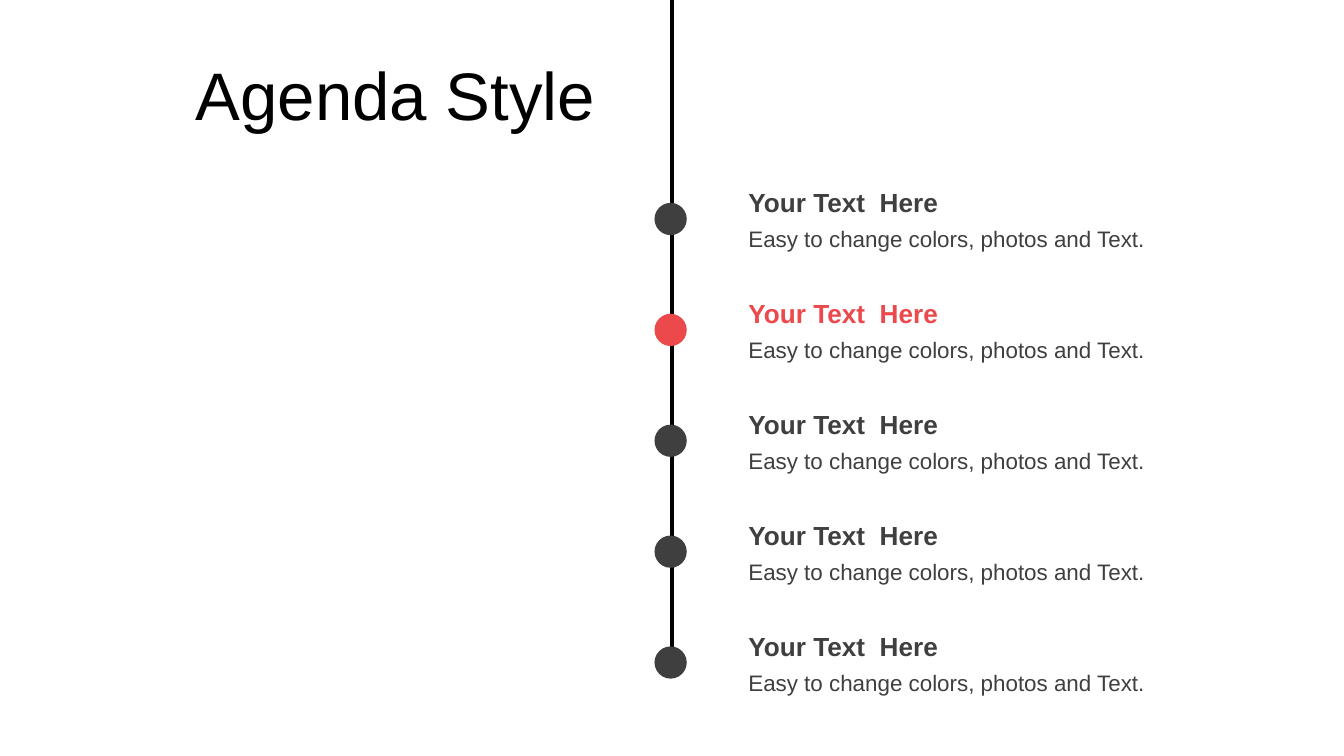
from lxml import etree
from pptx import Presentation
from pptx import util as u
from pptx.dml.color import RGBColor
from pptx.enum import shapes, text
from pptx.oxml.ns import qn

COLORS = {"line": "000000", "normal": "3F3F3F", "current": "EB494B"}
WIDTH = u.Inches(10)
HEIGHT = WIDTH * 9 // 16
FIRST_TOP, LAST_TOP = 1.34, 4.64
DOT_SIZE = u.Inches(0.24)
HEADING = "Your Text  Here"
DETAIL = "Easy to change colors, photos and Text."
topics = [(HEADING, DETAIL, "normal") for _ in range(5)]
topics[1] = (HEADING, DETAIL, "current")


def write(frame, words, size, color, bold=False):
    """Fill a text frame with one formatted Arial paragraph."""
    frame.word_wrap = True
    frame.auto_size = text.MSO_AUTO_SIZE.NONE
    frame.text = words
    font = frame.paragraphs[0].runs[0].font
    font.name, font.size, font.bold = "Arial", u.Pt(size), bold
    font.color.rgb = RGBColor.from_string(COLORS[color])


deck = Presentation()
deck.slide_width, deck.slide_height = WIDTH, HEIGHT
slide = deck.slides.add_slide(deck.slide_layouts[5])

title = slide.shapes.title
title.left, title.top = 0, u.Inches(0.38)
title.width, title.height = u.Inches(4.53), u.Inches(0.63)
write(title.text_frame, "Agenda Style", 36, "line")
title.text_frame.vertical_anchor = text.MSO_ANCHOR.MIDDLE
title.text_frame.paragraphs[0].alignment = text.PP_ALIGN.RIGHT

timeline = slide.shapes.add_connector(
    shapes.MSO_CONNECTOR.STRAIGHT, WIDTH // 2, 0, WIDTH // 2, u.Inches(5.01))
timeline.line.color.rgb = RGBColor.from_string(COLORS["line"])
timeline.line.width = u.Pt(2)
etree.SubElement(timeline._element.spPr, qn("a:effectLst"))

row_pitch = (LAST_TOP - FIRST_TOP) / (len(topics) - 1)
for row, (heading, detail, color) in enumerate(topics):
    top = FIRST_TOP + row * row_pitch

    dot = slide.shapes.add_shape(
        shapes.MSO_SHAPE.FLOWCHART_CONNECTOR,
        u.Inches(4.87), u.Inches(top + 0.17), DOT_SIZE, DOT_SIZE)
    dot.shadow.inherit = False
    dot.fill.solid()
    dot.fill.fore_color.rgb = RGBColor.from_string(COLORS[color])
    dot.line.fill.background()

    topic = slide.shapes.add_group_shape()
    for words, offset, height, size, ink, bold in (
            (detail, 0.29, 0.3, 12, "normal", False),
            (heading, 0, 0.34, 14, color, True)):
        box = topic.shapes.add_textbox(
            u.Inches(5.47), u.Inches(top + offset), u.Inches(3.86), u.Inches(height))
        write(box.text_frame, words, size, ink, bold)

deck.save("out.pptx")
